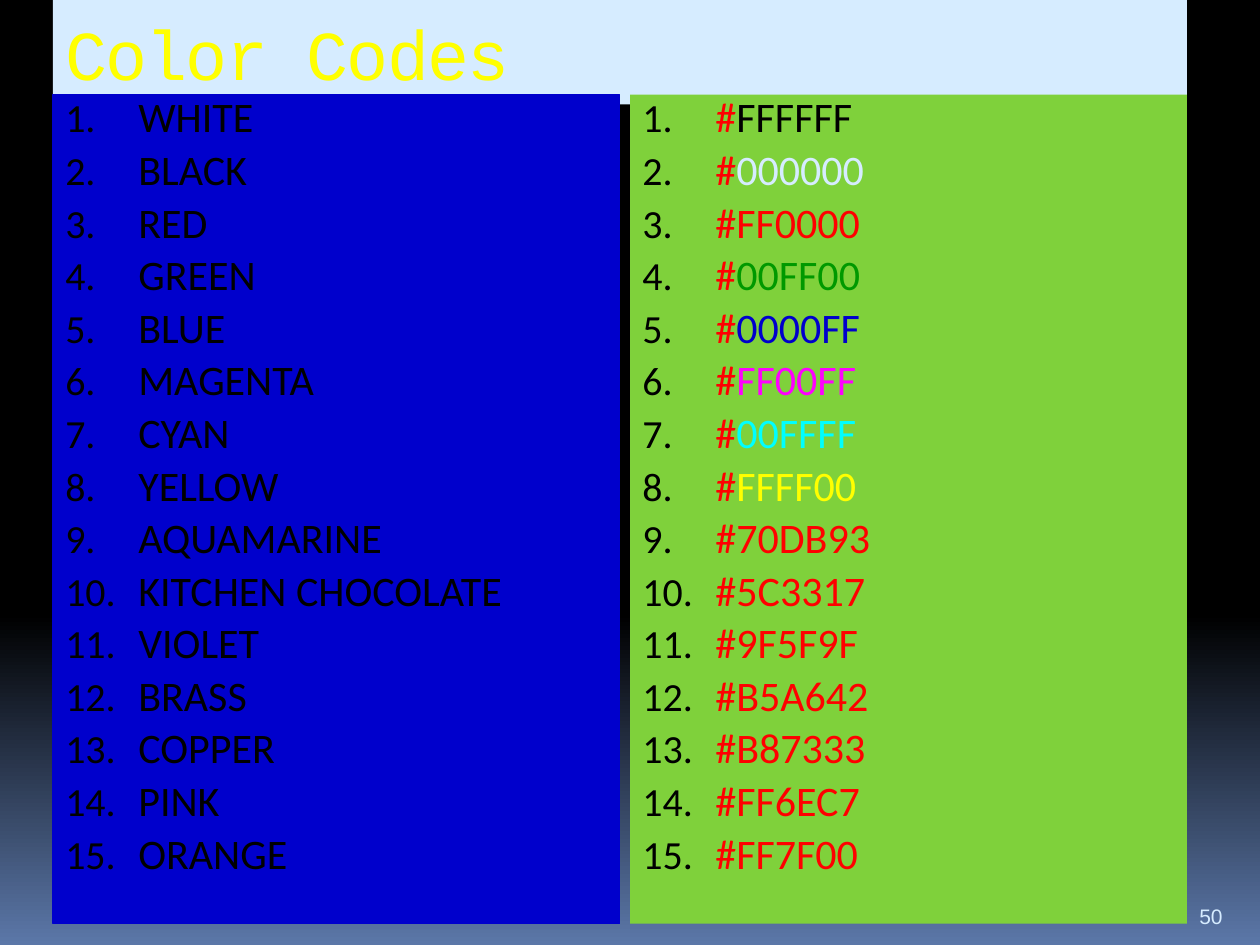
"""Slide listing color names beside their hexadecimal codes."""
from copy import deepcopy

from lxml.etree import SubElement
from pptx import Presentation
from pptx.dml.color import RGBColor
from pptx.enum.shapes import MSO_SHAPE
from pptx.enum.text import MSO_ANCHOR, PP_ALIGN
from pptx.oxml.ns import qn
from pptx.util import Inches, Pt

BLACK = RGBColor(0x00, 0x00, 0x00)
STEEL = RGBColor(0x5B, 0x77, 0xA8)
PALE = RGBColor(0xD6, 0xEC, 0xFF)
BLUE = RGBColor(0x00, 0x00, 0xCC)
LIME = RGBColor(0x7F, 0xD1, 0x3B)
RED = RGBColor(0xFF, 0x00, 0x00)
GREEN = RGBColor(0x00, 0x99, 0x00)
MAGENTA = RGBColor(0xFF, 0x00, 0xFF)
CYAN = RGBColor(0x00, 0xFF, 0xFF)
YELLOW = RGBColor(0xFF, 0xFF, 0x00)

TITLE = "Color Codes"
PAGE = "50"
BACKDROP = [(0, BLACK), (0.65, BLACK), (1, STEEL)]
COLORS = [
    ("WHITE", "FFFFFF", BLACK),
    ("BLACK", "000000", PALE),
    ("RED", "FF0000", RED),
    ("GREEN", "00FF00", GREEN),
    ("BLUE", "0000FF", BLUE),
    ("MAGENTA", "FF00FF", MAGENTA),
    ("CYAN", "00FFFF", CYAN),
    ("YELLOW", "FFFF00", YELLOW),
    ("AQUAMARINE", "70DB93", RED),
    ("KITCHEN CHOCOLATE", "5C3317", RED),
    ("VIOLET", "9F5F9F", RED),
    ("BRASS", "B5A642", RED),
    ("COPPER", "B87333", RED),
    ("PINK", "FF6EC7", RED),
    ("ORANGE", "FF7F00", RED),
]
LEFT, TOP, RIGHT, HEIGHT = 0.42, 0.75, 9.42, 6.58
INDENT = Inches(0.58)


def paint_background(s):
    fill = s.background.fill
    fill.gradient()
    fill.gradient_angle = 270
    stops = s.element.find(".//" + qn("a:gsLst"))
    stops.insert(0, deepcopy(stops[0]))
    for stop, (position, color) in zip(fill.gradient_stops, BACKDROP):
        stop.position = position
        stop.color.rgb = color


def add_panel(s, x, y, w, h, color, anchor):
    sp = s.shapes.add_shape(MSO_SHAPE.RECTANGLE, Inches(x), Inches(y), Inches(w), Inches(h))
    sp.shadow.inherit = False
    sp.fill.solid()
    sp.fill.fore_color.rgb = color
    sp.line.fill.background()
    sp.text_frame.word_wrap = True
    sp.text_frame.vertical_anchor = anchor
    return sp


def add_run(p, text, font, size, color):
    r = p.add_run()
    r.text = text
    r.font.name = font
    r.font.size = Pt(size)
    r.font.color.rgb = color
    return r


def number_paragraph(p):
    p.alignment = PP_ALIGN.LEFT
    p.line_spacing = 0.8
    p.space_before = Pt(7)
    ppr = p._p.get_or_add_pPr()
    ppr.set("marL", str(INDENT))
    ppr.set("indent", str(-INDENT))
    SubElement(SubElement(ppr, qn("a:buClr")), qn("a:srgbClr"), val=str(BLACK))
    SubElement(ppr, qn("a:buSzPct"), val="95000")
    SubElement(ppr, qn("a:buAutoNum"), type="arabicPeriod")


def add_list(s, x, w, color, items):
    sp = add_panel(s, x, TOP, w, HEIGHT, color, MSO_ANCHOR.TOP)
    tf = sp.text_frame
    for i, runs in enumerate(items):
        p = tf.add_paragraph() if i else tf.paragraphs[0]
        number_paragraph(p)
        for text, run_color in runs:
            add_run(p, text, "Calibri", 24, run_color)
    return sp


def main():
    prs = Presentation()
    prs.slide_width, prs.slide_height = Inches(10), Inches(7.5)
    s = prs.slides.add_slide(prs.slide_layouts[6])
    paint_background(s)

    page = s.shapes.add_textbox(Inches(RIGHT), Inches(7.02), Inches(0.5), Inches(0.4))
    page.text_frame.word_wrap = True
    page.text_frame.vertical_anchor = MSO_ANCHOR.BOTTOM
    add_run(page.text_frame.paragraphs[0], PAGE, "Arial", 12, PALE)

    title = add_panel(s, LEFT, 0, RIGHT - LEFT, 0.83, PALE, MSO_ANCHOR.MIDDLE)
    p = title.text_frame.paragraphs[0]
    p.alignment = PP_ALIGN.LEFT
    r = add_run(p, TITLE, "Courier New", 40, YELLOW)
    r.font._element.set("spc", "-100")

    names = add_list(s, LEFT, 4.5, BLUE, [[(name, BLACK)] for name, _, _ in COLORS])
    names.line.color.rgb = BLUE
    names.line.width = Pt(0.75)
    add_list(s, 5, RIGHT - 5, LIME, [[("#", RED), (code, color)] for _, code, color in COLORS])

    prs.save("out.pptx")


if __name__ == "__main__":
    main()
